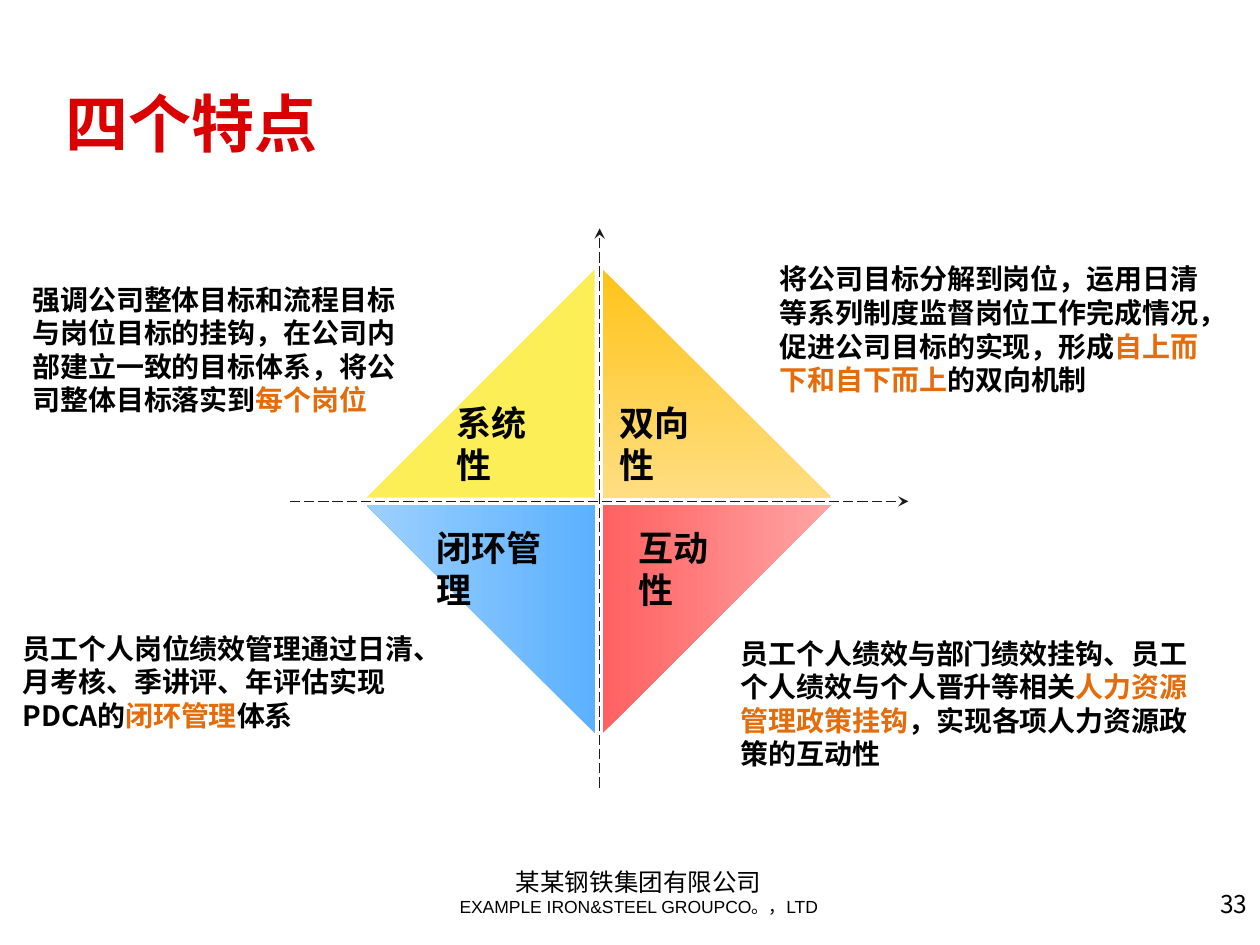
from lxml import etree
from pptx import Presentation
from pptx.dml.color import RGBColor
from pptx.enum.dml import MSO_LINE
from pptx.enum.shapes import MSO_CONNECTOR, MSO_SHAPE
from pptx.enum.text import MSO_AUTO_SIZE, PP_ALIGN
from pptx.oxml.ns import qn
from pptx.util import Pt

TRIANGLE = MSO_SHAPE.RIGHT_TRIANGLE
STRAIGHT = MSO_CONNECTOR.STRAIGHT
LONG_DASH = MSO_LINE.LONG_DASH
GROW = MSO_AUTO_SIZE.SHAPE_TO_FIT_TEXT
FIXED = MSO_AUTO_SIZE.NONE
LEFT, CENTER, RIGHT = PP_ALIGN.LEFT, PP_ALIGN.CENTER, PP_ALIGN.RIGHT

CJK = "Noto Sans CJK SC"
BLACK, RED, ORANGE, AXIS = "000000", "DB0000", "E46C0A", "1C1C1C"


def rgb(value):
    return RGBColor.from_string(value)


def points(box):
    return [Pt(v) for v in box]


def add_run(p, text, size, color, bold, font):
    r = p.add_run()
    r.text = text
    r.font.size = Pt(size)
    r.font.bold = bold
    r.font.color.rgb = rgb(color)
    r.font.name = font
    etree.SubElement(r.font._element, qn("a:ea")).set("typeface", CJK)


def add_text(s, box, lines, size=16, color=BLACK, bold=True, font=CJK, align=LEFT,
             wrap=True, fit=GROW, inset=7.2, spacing=1.2):
    """Each line is a list of texts; a (text, format) pair overrides the format."""
    tf = s.shapes.add_textbox(*points(box)).text_frame
    tf.word_wrap = wrap
    tf.auto_size = fit
    tf.margin_left = tf.margin_right = Pt(inset)
    tf.margin_top = tf.margin_bottom = Pt(3.6)
    for i, line in enumerate(lines):
        p = tf.add_paragraph() if i else tf.paragraphs[0]
        p.alignment = align
        base = dict(size=size, color=color, bold=bold, font=font)
        parts = [part if isinstance(part, tuple) else (part, {}) for part in line]
        largest = max(fmt.get("size", size) for _, fmt in parts)
        p.line_spacing = Pt(largest * spacing)
        for text, fmt in parts:
            add_run(p, text, **{**base, **fmt})


def add_triangle(s, box, colors, angle=0, rotation=0, flip=False):
    sp = s.shapes.add_shape(TRIANGLE, *points(box))
    sp.shadow.inherit = False
    sp.line.fill.background()
    sp.rotation = rotation
    if flip:
        sp._element.spPr.find(qn("a:xfrm")).set("flipH", "1")
    if len(colors) == 1:
        sp.fill.solid()
        sp.fill.fore_color.rgb = rgb(colors[0])
        return
    sp.fill.gradient()
    sp.fill.gradient_angle = angle
    for stop, color in zip(sp.fill.gradient_stops, colors):
        stop.color.rgb = rgb(color)
    # Colours run in slide directions, whatever the rotation
    sp._element.spPr.find(qn("a:gradFill")).set("rotWithShape", "0")


def add_axis(s, x1, y1, x2, y2):
    line = s.shapes.add_connector(STRAIGHT, *points((x1, y1, x2, y2)))
    line.line.color.rgb = rgb(AXIS)
    line.line.width = Pt(0.75)
    line.line.dash_style = LONG_DASH
    etree.SubElement(line.line._get_or_add_ln(), qn("a:tailEnd")).set("type", "stealth")
    etree.SubElement(line._element.spPr, qn("a:effectLst"))


def add_diamond(s, box):
    """Four triangles meeting at crossed axes, each with its label."""
    left, top, width, height = box
    side = 130.4
    right, bottom = left + width - side, top + height - side
    add_triangle(s, (left, top, side, side), ["FCEE56"], flip=True)
    add_triangle(s, (right, top, side, side), ["FFC319", "FFDE82"], angle=270)
    add_triangle(s, (right, bottom, side, side), ["FF6161", "FFA4A4"], rotation=90)
    add_triangle(s, (left, bottom, side, side), ["5CB1FE", "9CD0FE"], rotation=270, flip=True)

    cx, cy = left + width / 2 + 0.5, top + height / 2
    add_axis(s, cx, cy + 163.5, cx, cy - 156)
    add_axis(s, cx - 177, cy, cx + 176.5, cy)

    upper, lower = top + 72, top + 143.3
    for text, x, y, w in [("系统性", 44, upper, 74), ("双向性", 137.5, upper, 74),
                          ("互动性", 148.5, lower, 74), ("闭环管理", 33, lower, 94)]:
        add_text(s, (left + x, y, w, 31.7), [[text]], size=20, wrap=False)


def add_features(s):
    accent = {"color": ORANGE}
    features = [
        ((11.5, 157.7, 230.4, 84.2),
         ["强调公司整体目标和流程目标与岗位目标的挂钩，在公司内部建立一致的目标体系，将公司整体目标落实到",
          ("每个岗位", accent)]),
        ((438.5, 146.2, 258.5, 84.2),
         ["将公司目标分解到岗位，运用日清等系列制度监督岗位工作完成情况，促进公司目标的实现，形成",
          ("自上而下和自下而上", accent), "的双向机制"]),
        ((5.8, 357.1, 238.3, 64.8),
         ["员工个人岗位绩效管理通过日清、月考核、季讲评、年评估实现PDCA的",
          ("闭环管理", accent), "体系"]),
        ((416.2, 360, 281.5, 84.2),
         ["员工个人绩效与部门绩效挂钩、员工个人绩效与个人晋升等相关",
          ("人力资源管理政策挂钩", accent), "，实现各项人力资源政策的互动性"]),
    ]
    for box, line in features:
        add_text(s, box, [line])


def add_footer(s, box, number_box):
    add_text(s, box, [["某某钢铁集团有限公司"],
                      [("EXAMPLE IRON&STEEL GROUPCO。，LTD", {"size": 10})]],
             size=14, bold=False, font="Arial", align=CENTER, fit=FIXED)
    add_text(s, number_box, [["33"]], size=14, bold=False, align=RIGHT, fit=FIXED,
             spacing=1.35)


def main():
    prs = Presentation()
    prs.slide_width, prs.slide_height = Pt(720), Pt(540)
    s = prs.slides.add_slide(prs.slide_layouts[6])
    add_diamond(s, (209.5, 154, 265.3, 265))
    add_features(s)
    add_text(s, (33.8, 44.6, 185.8, 50.4), [["四个特点"]], size=36, color=RED, inset=3.6)
    add_footer(s, (246.2, 491.8, 237.6, 37.4), (677.5, 502.6, 42.5, 37.4))
    prs.save("out.pptx")


if __name__ == "__main__":
    main()
